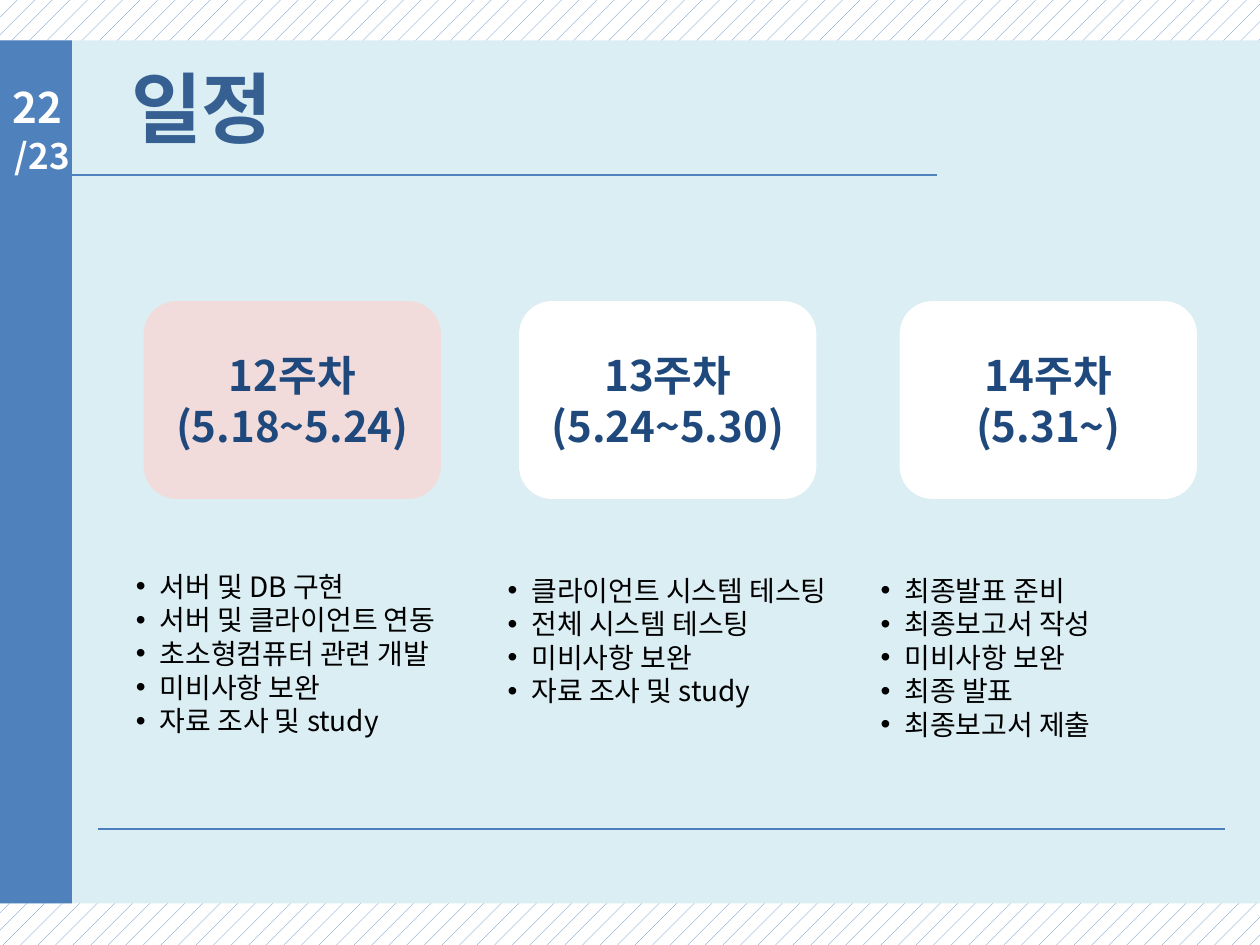
from dataclasses import dataclass

from lxml.etree import SubElement
from pptx import Presentation
from pptx.dml.color import RGBColor
from pptx.enum.dml import MSO_PATTERN
from pptx.enum.shapes import MSO_CONNECTOR, MSO_SHAPE
from pptx.enum.text import MSO_ANCHOR, PP_ALIGN
from pptx.oxml.ns import qn
from pptx.util import Inches, Pt


@dataclass(frozen=True)
class Theme:
    """Colours, type sizes and typefaces of the slide."""
    font: str = "Noto Sans CJK KR"
    bullet_font: str = "Arial"
    panel: str = "DBEEF4"
    accent: str = "4F81BD"
    rule: str = "4B7EBC"
    title: str = "376092"
    heading: str = "1F497D"
    current: str = "F2DCDB"
    white: str = "FFFFFF"
    black: str = "000000"
    title_size: int = 44
    heading_size: int = 24
    total_size: int = 20
    body_size: int = 16


THEME = Theme()
CARD_TOP, CARD_WIDTH, CARD_HEIGHT = 2.39, 2.36, 1.57
LIST_WIDTH, LIST_HEIGHT = 2.76, 1.57
WEEKS = [
    (1.14, THEME.current, ["12주차", "(5.18~5.24)"], (0.98, 4.47),
     ["서버 및 DB 구현", "서버 및 클라이언트 연동", "초소형컴퓨터 관련 개발",
      "미비사항 보완", "자료 조사 및 study"]),
    (4.12, THEME.white, ["13주차", "(5.24~5.30)"], (3.93, 4.5),
     ["클라이언트 시스템 테스팅", "전체 시스템 테스팅", "미비사항 보완",
      "자료 조사 및 study"]),
    (7.14, THEME.white, ["14주차", "(5.31~)"], (6.89, 4.5),
     ["최종발표 준비", "최종보고서 작성", "미비사항 보완", "최종 발표",
      "최종보고서 제출"]),
]


def color(value):
    """Turn a hex string into a colour."""
    return RGBColor.from_string(value)


def write(frame, lines, size, ink, bold=True, align=PP_ALIGN.LEFT):
    """Fill a text frame with one paragraph per line."""
    frame.word_wrap = True
    for index, line in enumerate(lines):
        paragraph = frame.paragraphs[0] if index == 0 else frame.add_paragraph()
        paragraph.alignment = align
        run = paragraph.add_run()
        run.text = line
        for font in (paragraph.font, run.font):
            font.name = THEME.font
            font.size = Pt(size)
            font.bold = bold
            font.color.rgb = color(ink)
        SubElement(run.font._element, qn("a:ea"), typeface=THEME.font)


def add_block(slide, box, fill, kind=MSO_SHAPE.RECTANGLE):
    """Add a flat filled shape without outline."""
    shape = slide.shapes.add_shape(kind, *map(Inches, box))
    shape.shadow.inherit = False
    shape.fill.solid()
    shape.fill.fore_color.rgb = color(fill)
    shape.line.fill.background()
    return shape


def add_text(slide, box, lines, size, ink, bold=True):
    """Add a wrapped text box and return its frame."""
    frame = slide.shapes.add_textbox(*map(Inches, box)).text_frame
    write(frame, lines, size, ink, bold)
    return frame


def add_rule(slide, left, right, top, ink, width):
    """Add a horizontal line."""
    line = slide.shapes.add_connector(
        MSO_CONNECTOR.STRAIGHT, *map(Inches, (left, top, right, top)))
    line.line.color.rgb = color(ink)
    line.line.width = Pt(width)
    SubElement(line._element.spPr, qn("a:effectLst"))


def add_bullet(paragraph):
    """Give a paragraph a hanging round bullet."""
    properties = paragraph._p.get_or_add_pPr()
    properties.set("marL", str(Inches(0.19)))
    properties.set("indent", str(-Inches(0.19)))
    parts = [("a:buFont", {"typeface": THEME.bullet_font}),
             ("a:buChar", {"char": "•"})]
    for index, (tag, attributes) in enumerate(parts):
        properties.insert(index, properties.makeelement(qn(tag), attributes))


def add_frame(slide):
    """Draw the patterned background, panel, side band and rules."""
    fill = slide.background.fill
    fill.patterned()
    fill.pattern = MSO_PATTERN.PERCENT_5
    fill.fore_color.rgb = color(THEME.accent)
    fill.back_color.rgb = color(THEME.white)
    add_block(slide, (0, 0.32, 10, 6.85), THEME.panel)
    add_rule(slide, 0.28, 7.44, 1.39, THEME.accent, 1)
    add_block(slide, (-0.02, 0.32, 0.59, 6.85), THEME.accent)
    add_rule(slide, 0.78, 9.72, 6.58, THEME.rule, 0.75)


def add_header(slide):
    """Place the title and the page counter."""
    title = add_text(slide, (0.59, 0.33, 6.38, 1.04), ["일정"],
                     THEME.title_size, THEME.title)
    title.margin_left = Inches(0.45)
    title.vertical_anchor = MSO_ANCHOR.MIDDLE
    add_text(slide, (0, 0.6, 0.67, 0.5), ["22"],
             THEME.heading_size, THEME.white)
    add_text(slide, (0.02, 1.02, 0.67, 0.44), ["/23"],
             THEME.total_size, THEME.white)


def add_week(slide, left, fill, heading, list_corner, tasks):
    """Place one week card with its bulleted tasks."""
    card = add_block(slide, (left, CARD_TOP, CARD_WIDTH, CARD_HEIGHT), fill,
                     MSO_SHAPE.ROUNDED_RECTANGLE)
    card.text_frame.vertical_anchor = MSO_ANCHOR.MIDDLE
    write(card.text_frame, heading, THEME.heading_size, THEME.heading,
          align=PP_ALIGN.CENTER)
    frame = add_text(slide, (*list_corner, LIST_WIDTH, LIST_HEIGHT), tasks,
                     THEME.body_size, THEME.black, bold=False)
    for paragraph in frame.paragraphs:
        add_bullet(paragraph)


def main():
    """Build and save the schedule slide."""
    presentation = Presentation()
    presentation.slide_width = Inches(10)
    presentation.slide_height = Inches(7.5)
    slide = presentation.slides.add_slide(presentation.slide_layouts[6])
    add_frame(slide)
    add_header(slide)
    for week in WEEKS:
        add_week(slide, *week)
    presentation.save("out.pptx")


if __name__ == "__main__":
    main()
